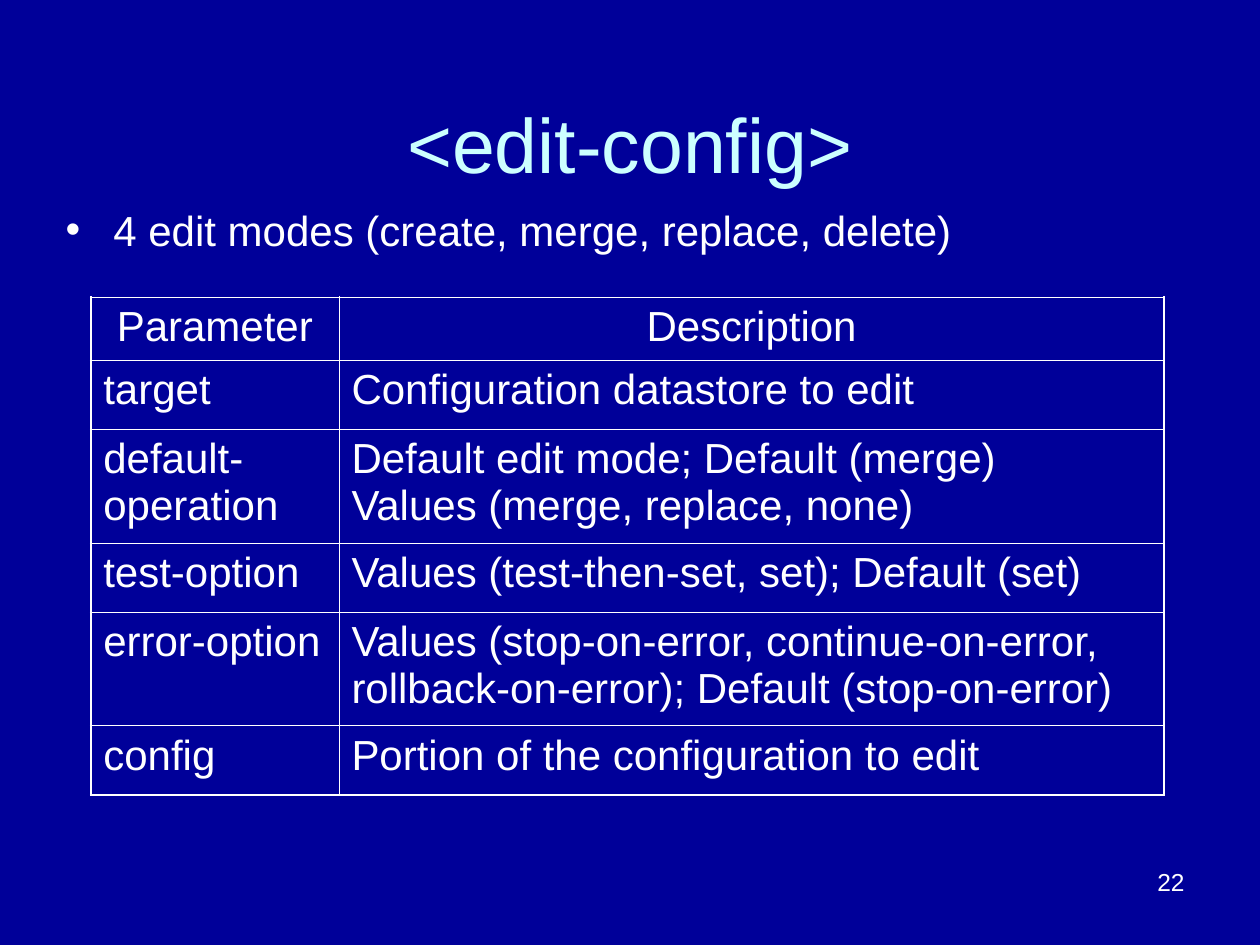
from lxml import etree
from pptx import Presentation
from pptx import util as u
from pptx.dml import color
from pptx.enum import text
from pptx.oxml import ns

COLORS = {"background": "000099", "title": "CCFFFF", "body": "FFFFFF"}
ROWS = [
    ("Parameter", "Description"),
    ("target", "Configuration datastore to edit"),
    ("default-operation", "Default edit mode; Default (merge)\nValues (merge, replace, none)"),
    ("test-option", "Values (test-then-set, set); Default (set)"),
    ("error-option", "Values (stop-on-error, continue-on-error, rollback-on-error); Default (stop-on-error)"),
    ("config", "Portion of the configuration to edit"),
]
ROW_HEIGHTS = [0.5, 0.55, 0.9, 0.55, 0.9, 0.55]
COLUMN_WIDTHS = [1.97, 6.55]


def write(paragraph, content, size, color_name, alignment):
    paragraph.alignment = alignment
    paragraph.space_before = u.Pt(0)
    for index, line in enumerate(content.split("\n")):
        if index:
            paragraph.add_line_break()
        run = paragraph.add_run()
        run.text = line
        run.font.name = "Arial"
        run.font.size = u.Pt(size)
        run.font.color.rgb = color.RGBColor.from_string(COLORS[color_name])


def add_solid_color(parent, tag, color_name):
    holder = etree.SubElement(parent, ns.qn(tag))
    etree.SubElement(holder, ns.qn("a:srgbClr"), val=COLORS[color_name])


presentation = Presentation()
presentation.slide_width = u.Inches(10)
presentation.slide_height = u.Inches(7.5)
slide = presentation.slides.add_slide(presentation.slide_layouts[1])
slide.background.fill.solid()
slide.background.fill.fore_color.rgb = color.RGBColor.from_string(COLORS["background"])

title = slide.shapes.title
title.left, title.top, title.width, title.height = map(u.Inches, (0.5, 0.3, 9, 1.25))
title.text_frame.auto_size = text.MSO_AUTO_SIZE.NONE
title.text_frame.vertical_anchor = text.MSO_ANCHOR.BOTTOM
write(title.text_frame.paragraphs[0], "<edit-config>", 44, "title", text.PP_ALIGN.CENTER)

body = slide.placeholders[1]
body.left, body.top, body.width, body.height = map(u.Inches, (0.42, 1.57, 8.7, 0.63))
body.text_frame.auto_size = text.MSO_AUTO_SIZE.NONE
bullet = body.text_frame.paragraphs[0]
properties = bullet._p.get_or_add_pPr()
properties.set("marL", str(u.Inches(0.38)))
properties.set("indent", str(u.Inches(-0.38)))
add_solid_color(properties, "a:buClr", "body")
etree.SubElement(properties, ns.qn("a:buFont"), typeface="Arial")
etree.SubElement(properties, ns.qn("a:buChar"), char="•")
write(bullet, "4 edit modes (create, merge, replace, delete)", 24, "body", text.PP_ALIGN.LEFT)

table = slide.shapes.add_table(
    len(ROWS), len(COLUMN_WIDTHS), u.Inches(0.72), u.Inches(2.36),
    u.Inches(sum(COLUMN_WIDTHS)), u.Inches(sum(ROW_HEIGHTS)),
).table
table.first_row = False
table.horz_banding = False
for column, width in zip(table.columns, COLUMN_WIDTHS):
    column.width = u.Inches(width)
for row, height in zip(table.rows, ROW_HEIGHTS):
    row.height = u.Inches(height)

for row_index, values in enumerate(ROWS):
    alignment = text.PP_ALIGN.LEFT if row_index else text.PP_ALIGN.CENTER
    for column_index, value in enumerate(values):
        cell = table.cell(row_index, column_index)
        outer_sides = {
            "a:lnL": column_index == 0,
            "a:lnR": column_index == len(values) - 1,
            "a:lnT": row_index == 0,
            "a:lnB": row_index == len(ROWS) - 1,
        }
        cell_properties = cell._tc.get_or_add_tcPr()
        for side, is_outer in outer_sides.items():
            width = u.Pt(1.08 if is_outer else 0.45)
            border = etree.SubElement(cell_properties, ns.qn(side), w=str(width))
            add_solid_color(border, "a:solidFill", "body")
        cell.fill.background()
        write(cell.text_frame.paragraphs[0], value, 24, "body", alignment)

page_number = slide.shapes.add_textbox(*map(u.Inches, (7.17, 6.83, 2.33, 0.52)))
page_number.text_frame.word_wrap = True
write(page_number.text_frame.paragraphs[0], "22", 14, "body", text.PP_ALIGN.RIGHT)

presentation.save("out.pptx")
